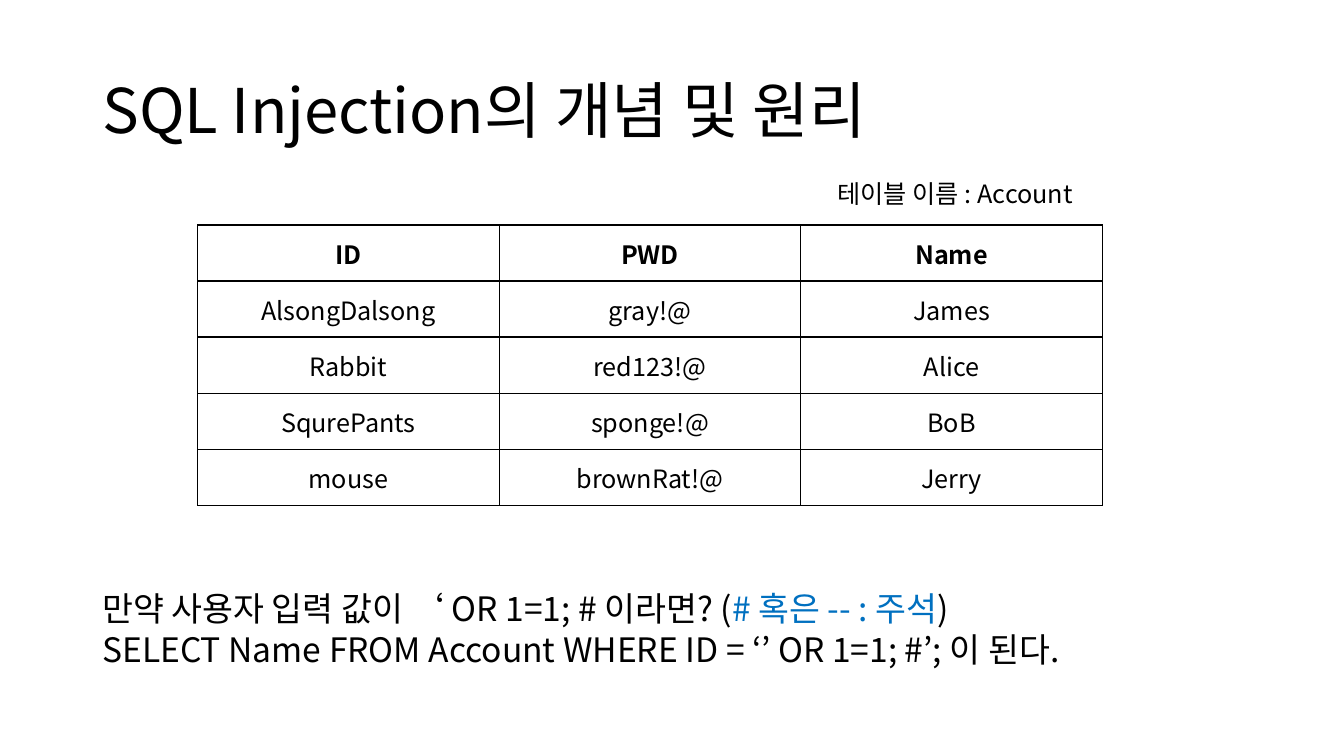
from dataclasses import dataclass

from lxml import etree
from pptx import Presentation
from pptx import util as u
from pptx.dml.color import RGBColor
from pptx.enum import text
from pptx.oxml import ns


@dataclass(frozen=True)
class Theme:
    font: str = "Noto Sans CJK KR"
    ink: str = "000000"
    note: str = "0070C0"
    title: int = 44
    body: int = 24
    cell: int = 18
    rule: int = 1


THEME = Theme()

ROWS = [
    ("ID", "PWD", "Name"),
    ("AlsongDalsong", "gray!@", "James"),
    ("Rabbit", "red123!@", "Alice"),
    ("SqurePants", "sponge!@", "BoB"),
    ("mouse", "brownRat!@", "Jerry"),
]

QUERY = [
    [("만약 사용자 입력 값이 ‘ OR 1=1; # 이라면? (", THEME.ink),
     ("# 혹은 -- : 주석", THEME.note),
     (")", THEME.ink)],
    [("SELECT Name FROM Account WHERE ID = ‘’ OR 1=1; #’; 이 된다.", THEME.ink)],
]


def style(run, size, color=THEME.ink, bold=False):
    """Format a run, with one typeface for Latin and Korean."""
    font = run.font
    font.size, font.bold, font.name = u.Pt(size), bold, THEME.font
    font.color.rgb = RGBColor.from_string(color)
    east = etree.SubElement(run._r.get_or_add_rPr(), ns.qn("a:ea"))
    east.set("typeface", THEME.font)


def add_box(slide, box, wrap=True):
    frame = slide.shapes.add_textbox(*map(u.Cm, box)).text_frame
    frame.word_wrap = wrap
    return frame


def add_title(slide, box):
    frame = add_box(slide, box)
    frame.vertical_anchor = text.MSO_ANCHOR.MIDDLE
    frame.text = "SQL Injection의 개념 및 원리"
    para = frame.paragraphs[0]
    para.line_spacing = 0.9
    style(para.runs[0], THEME.title)


def add_label(slide, box):
    frame = add_box(slide, box, wrap=False)
    frame.auto_size = text.MSO_AUTO_SIZE.SHAPE_TO_FIT_TEXT
    frame.text = "테이블 이름 : Account"
    style(frame.paragraphs[0].runs[0], THEME.cell)


def add_rules(cell):
    """Draw a thin line on each side of a cell."""
    props = cell._tc.get_or_add_tcPr()
    for side in ("lnL", "lnR", "lnT", "lnB"):
        line = etree.SubElement(props, ns.qn(f"a:{side}"), w=str(u.Pt(THEME.rule)))
        fill = etree.SubElement(line, ns.qn("a:solidFill"))
        etree.SubElement(fill, ns.qn("a:srgbClr"), val=THEME.ink)


def add_account(slide, box):
    frame = slide.shapes.add_table(len(ROWS), len(ROWS[0]), *map(u.Cm, box))
    table = frame.table
    for r, row in enumerate(ROWS):
        for c, word in enumerate(row):
            cell = table.cell(r, c)
            add_rules(cell)
            cell.fill.background()
            cell.vertical_anchor = text.MSO_ANCHOR.MIDDLE
            cell.text = word
            para = cell.text_frame.paragraphs[0]
            para.alignment = text.PP_ALIGN.CENTER
            style(para.runs[0], THEME.cell, bold=r == 0)


def add_query(slide, box):
    frame = add_box(slide, box)
    frame.auto_size = text.MSO_AUTO_SIZE.SHAPE_TO_FIT_TEXT
    for i, parts in enumerate(QUERY):
        para = frame.add_paragraph() if i else frame.paragraphs[0]
        for words, color in parts:
            run = para.add_run()
            run.text = words
            style(run, THEME.body, color)


def main():
    deck = Presentation()
    deck.slide_width, deck.slide_height = u.Cm(33.87), u.Cm(19.05)
    slide = deck.slides.add_slide(deck.slide_layouts[6])
    add_title(slide, (2.33, 1.01, 29.21, 3.68))
    add_query(slide, (2.33, 14.7, 26, 2.31))
    add_account(slide, (4.98, 5.67, 22.8, 7.06))
    add_label(slide, (20.86, 4.38, 6.92, 1.03))
    deck.save("out.pptx")


if __name__ == "__main__":
    main()
